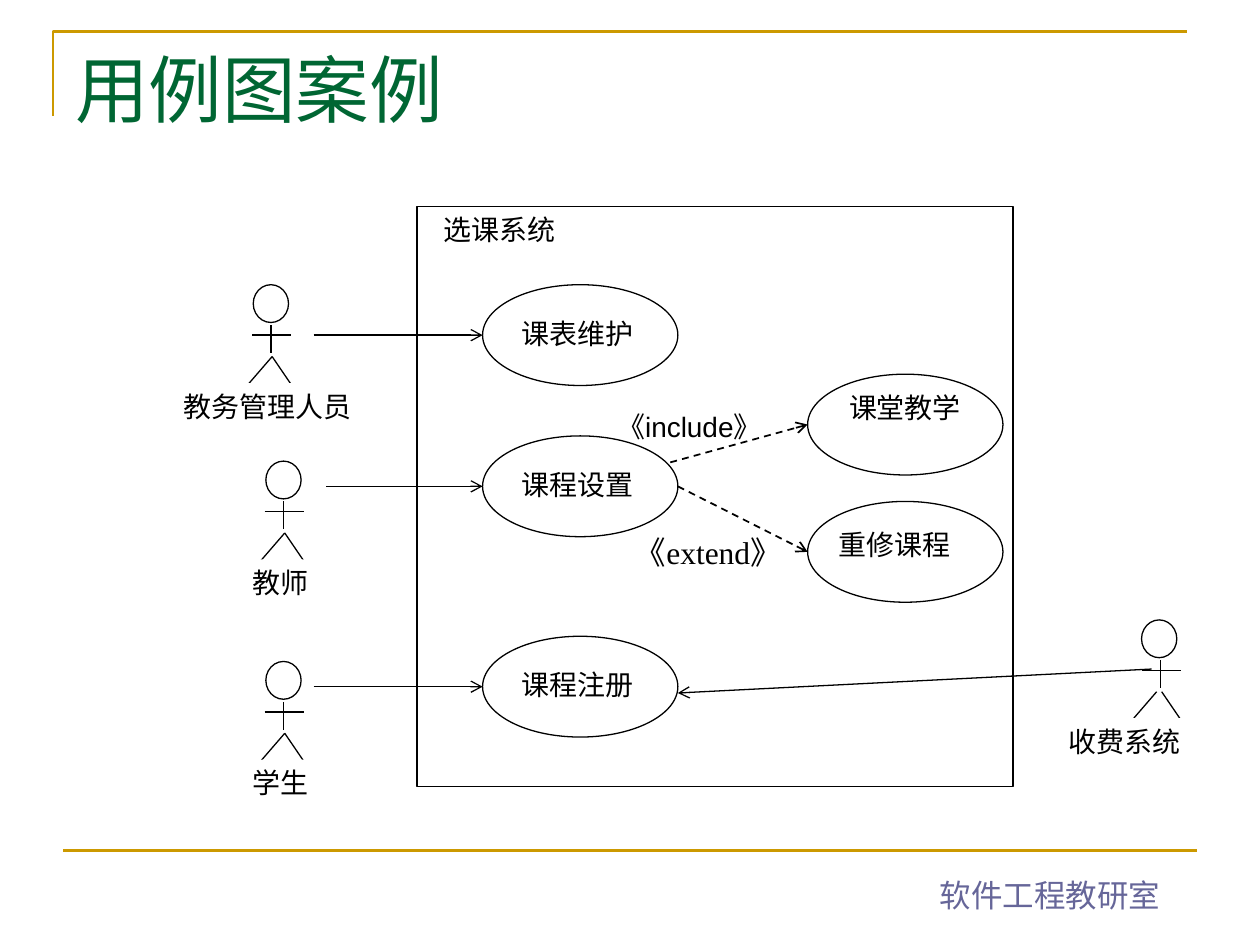
from dataclasses import dataclass
from lxml.etree import SubElement
from pptx import Presentation
from pptx.dml.color import RGBColor as RGB
from pptx.enum.dml import MSO_LINE as Dash
from pptx.enum.shapes import MSO_CONNECTOR as Conn, MSO_SHAPE as Shape
from pptx.enum.text import MSO_ANCHOR as Anchor, MSO_AUTO_SIZE as Auto, PP_ALIGN as Align
from pptx.oxml.ns import qn
from pptx.util import Pt

PX = 9144


@dataclass(frozen=True)
class Theme:
    """Colours, fonts and type sizes of the slide."""
    gold: str = "CC9900"
    green: str = "006633"
    violet: str = "666699"
    ink: str = "000000"
    paper: str = "FFFFFF"
    serif: str = "Times New Roman"
    sans: str = "Arial"
    title: int = 42
    note: int = 18
    label: int = 16
    thin: float = 0.75
    dashed: float = 1
    rule: float = 1.5


T = Theme()


def emu(*lengths):
    """Turn px lengths into EMU."""
    return [n * PX for n in lengths]


def stroke(line, color=T.ink, width=T.thin):
    """Give a line its colour and width."""
    line.color.rgb = RGB.from_string(color)
    line.width = Pt(width)


def add_line(s, start, end, color=T.ink, width=T.thin, arrow=False, dash=False):
    """Draw a straight line, with an arrowhead at its end if asked."""
    sp = s.shapes.add_connector(Conn.STRAIGHT, *emu(*start, *end))
    stroke(sp.line, color, width)
    if dash:
        sp.line.dash_style = Dash.DASH
    if arrow:
        SubElement(sp.line._get_or_add_ln(), qn("a:tailEnd"), type="arrow")
    SubElement(sp._element.spPr, qn("a:effectLst"))


def add_outline(s, shape, box, fill=None):
    """Draw a thinly outlined shape, filled or hollow."""
    sp = s.shapes.add_shape(shape, *emu(*box))
    sp.shadow.inherit = False
    stroke(sp.line)
    if fill:
        sp.fill.solid()
        sp.fill.fore_color.rgb = RGB.from_string(fill)
    else:
        sp.fill.background()


def write(sp, runs, size=T.label, color=T.ink, align=Align.LEFT, wrap=True):
    """Write one paragraph of (text, font) runs into a shape."""
    tf = sp.text_frame
    frame = dict(word_wrap=wrap, vertical_anchor=Anchor.TOP,
                 auto_size=Auto.NONE if wrap else Auto.SHAPE_TO_FIT_TEXT)
    for name, value in frame.items():
        setattr(tf, name, value)
    p = tf.paragraphs[0]
    p.alignment = align
    for text, font in runs:
        r = p.add_run()
        r.text = text
        for name, value in dict(name=font, size=Pt(size)).items():
            setattr(r.font, name, value)
        r.font.color.rgb = RGB.from_string(color)


def add_text(s, box, runs, **style):
    """Place a text box."""
    write(s.shapes.add_textbox(*emu(*box)), runs, **style)


def add_decor(s, x, y, w, h):
    """Draw the corner rule, the bottom rule and the department name."""
    pen = s.shapes.build_freeform(x, y + 67, scale=PX)
    pen.add_line_segments([(x, y), (x + w, y)], close=False)
    sp = pen.convert_to_shape()
    sp.shadow.inherit = False
    sp.fill.background()
    stroke(sp.line, T.gold, T.rule)
    add_line(s, (x + 8, y + h), (x + 8 + w, y + h), T.gold, T.rule)
    add_text(s, (x + 694, y + h + 15, 195, 40), [("软件工程教研室", T.sans)],
             size=T.note, color=T.violet, wrap=False)


def add_actor(s, x, y, name, label_dx=-76, hips=(15, 15)):
    """Draw a stick figure with its head at x, y and its name below."""
    add_outline(s, Shape.OVAL, (x, y, 28, 30))
    left, right = (x + hip for hip in hips)
    spine = right - 1
    limbs = [((left, y + 57), (left - 19, y + 79)),
             ((right, y + 57), (right + 15, y + 79)),
             ((spine, y + 32), (spine, y + 54)),
             ((spine - 15, y + 40), (spine + 16, y + 40))]
    for start, end in limbs:
        add_line(s, start, end)
    sp = s.shapes.add_shape(Shape.RECTANGLE, *emu(x + label_dx, y + 78, 175, 60))
    sp.shadow.inherit = False
    sp.fill.solid()
    sp.fill.fore_color.rgb = RGB.from_string(T.paper)
    sp.line.fill.background()
    write(sp, [(name, T.serif)], align=Align.CENTER)


def add_use_case(s, x, y, name, dx=21, dy=20):
    """Draw a use-case ellipse with its name offset by dx, dy."""
    add_outline(s, Shape.OVAL, (x, y, 155, 80), T.paper)
    add_text(s, (x + dx, y + dy, 114, 60), [(name, T.serif)], align=Align.JUSTIFY)


def add_system(s, x, y, w, h):
    """Draw the system boundary with actors, use cases and relations."""
    add_actor(s, x + 575, y + 328, "收费系统", -101, (12, 16))
    main_x, side_x = x + 52, x + 310
    rows = [("教务管理人员", "课表维护", 201, 62, 249),
            ("教师", "课程设置", 211, 182, 259),
            ("学生", "课程注册", 211, 341, 249)]
    for actor, case, actor_x, dy, start_x in rows:
        add_actor(s, actor_x, y + dy + 20 * (dy > 62), actor)
        add_use_case(s, main_x, y + dy, case)
        add_line(s, (start_x, y + dy + 40), (main_x, y + dy + 40), arrow=True)
    add_line(s, (x + 583, y + 367), (x + 207, y + 386), arrow=True)
    add_outline(s, Shape.RECTANGLE, (x, y, w, h))
    add_text(s, (x + 11, y, 155, 60), [("选课系统", T.serif)], align=Align.JUSTIFY)
    add_use_case(s, side_x, y + 133, "课堂教学", 23, 8)
    add_use_case(s, side_x, y + 234, "重修课程", 15, 16)
    for start, end_y in [((x + 201, y + 203), y + 173), ((x + 207, y + 222), y + 274)]:
        add_line(s, start, (side_x, end_y), width=T.dashed, arrow=True, dash=True)
    add_text(s, (x + 149, y + 156, 145, 37), [("《include》", T.sans)], wrap=False)
    add_text(s, (x + 163, y + 254, 175, 40),
             [("《", T.sans), ("extend", T.serif), ("》", T.sans)], size=T.note)


def main():
    """Build and save the use-case slide."""
    prs = Presentation()
    prs.slide_width, prs.slide_height = emu(1000, 750)
    s = prs.slides.add_slide(prs.slide_layouts[6])
    add_decor(s, 42, 25, 900, 650)
    add_system(s, 331, 164, 473, 460)
    add_text(s, (50, 30, 900, 125), [("用例图案例", T.serif)],
             size=T.title, color=T.green)
    prs.save("out.pptx")


if __name__ == "__main__":
    main()
